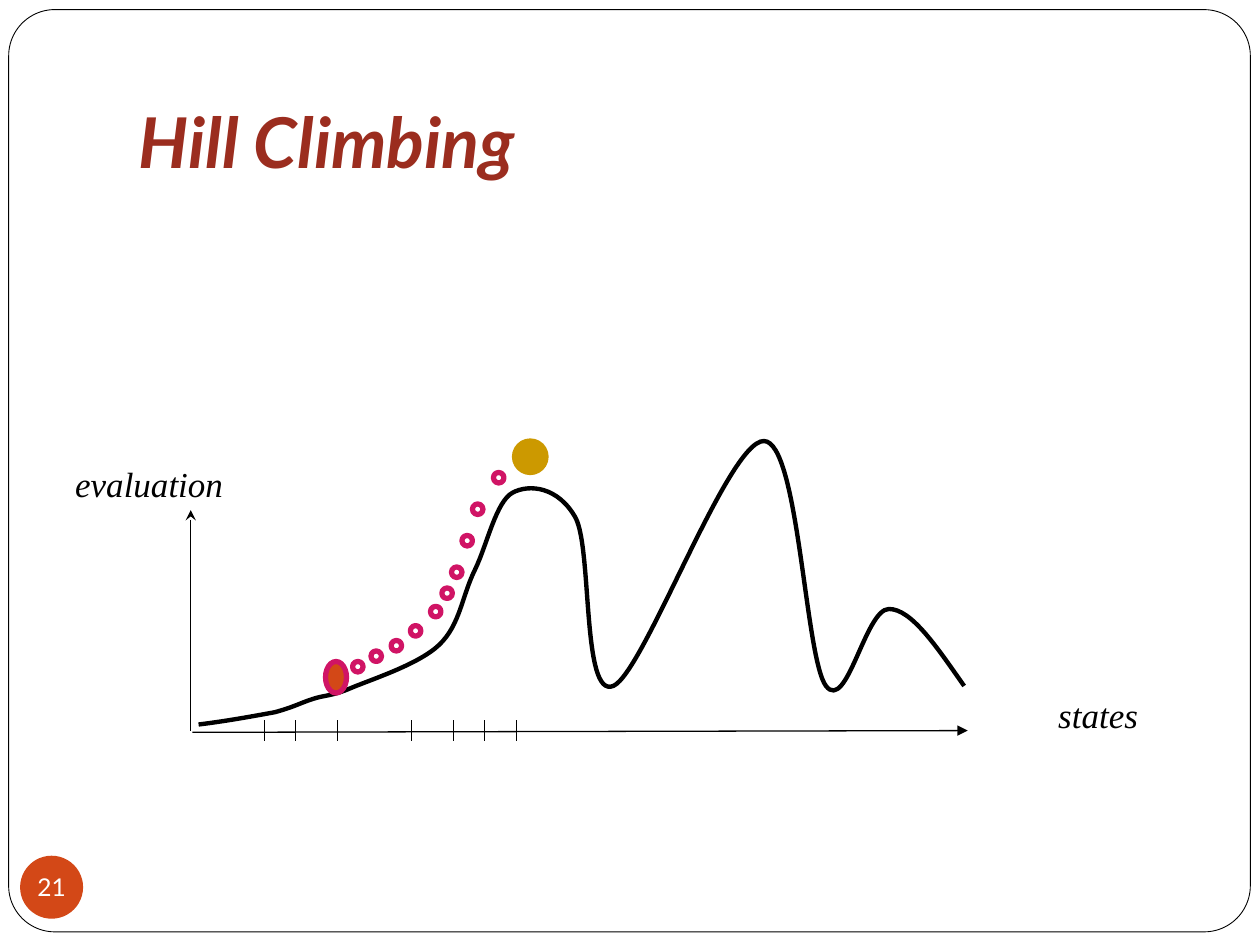
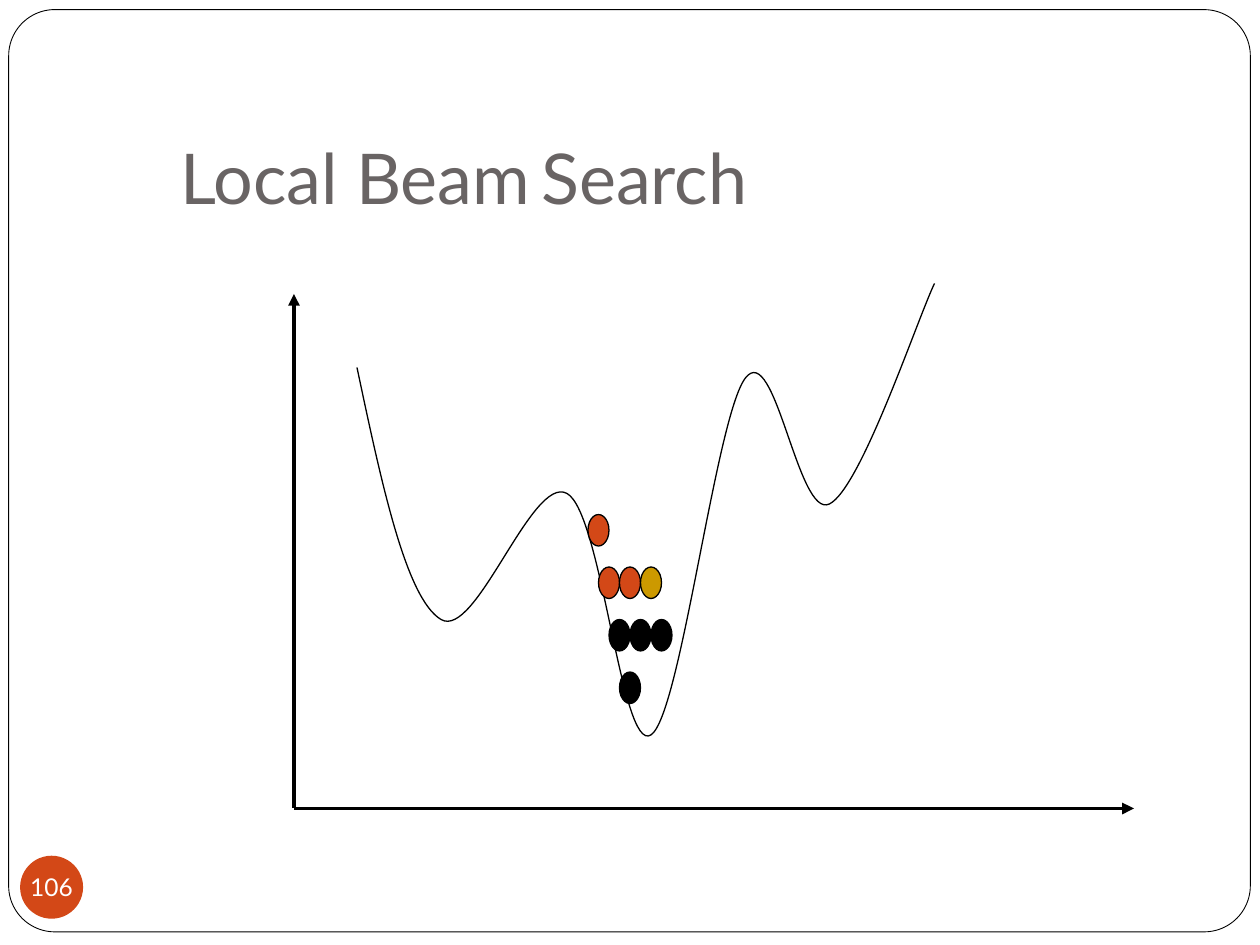
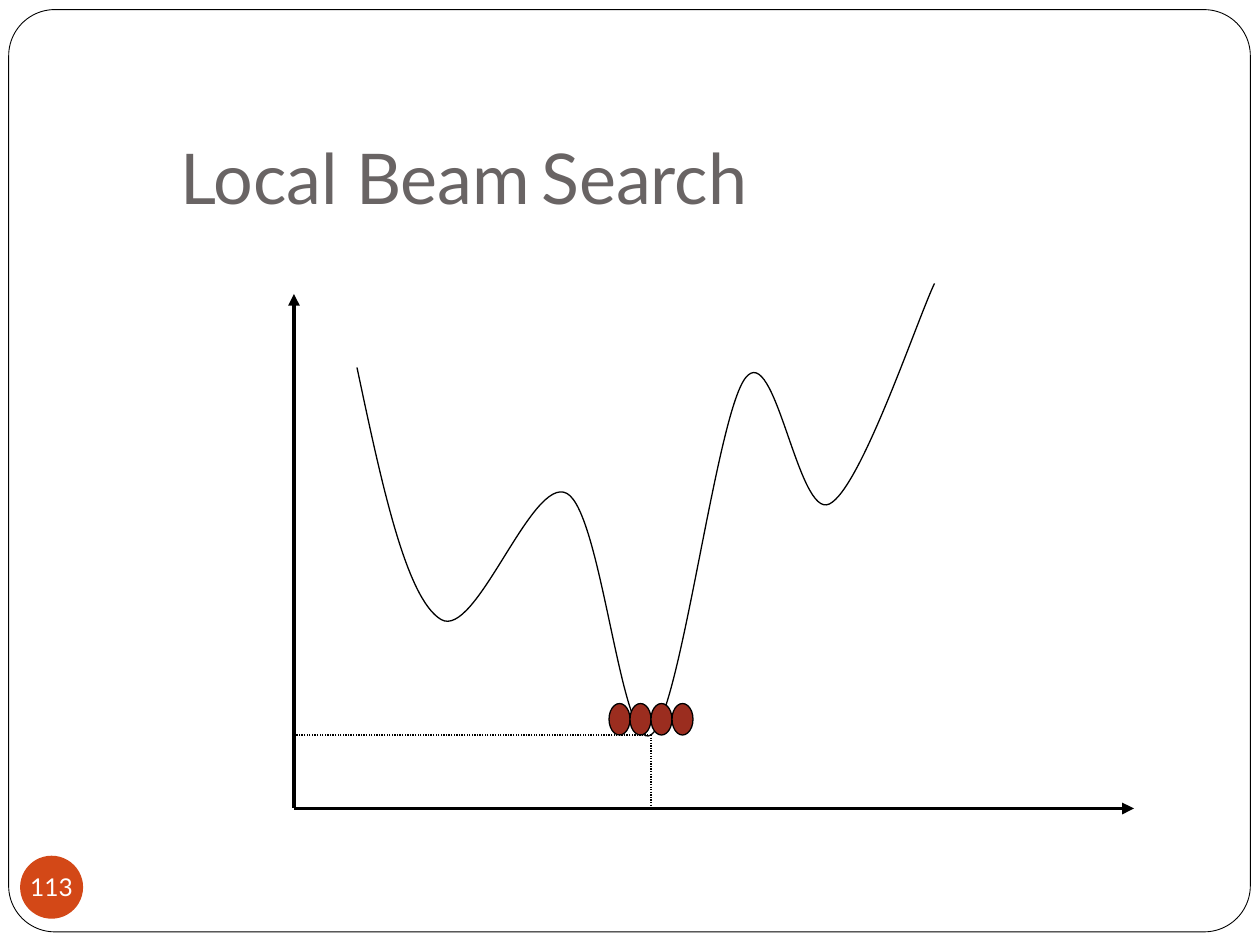
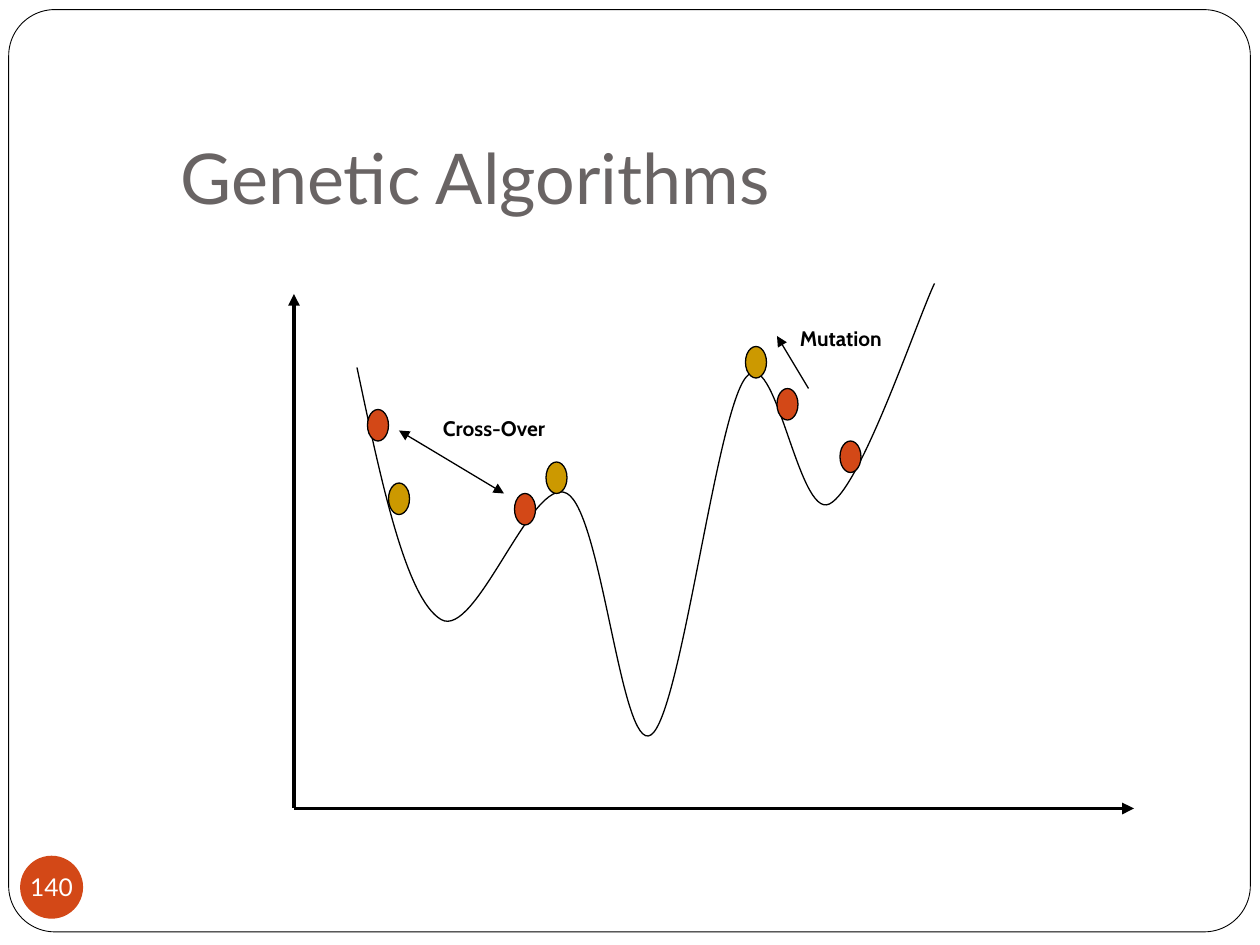
"""Build four slides on local search: hill climbing, beam search and genetic algorithms."""
import dataclasses

import lxml.etree
import pptx
import pptx.dml.color
import pptx.enum.dml
import pptx.enum.shapes
import pptx.enum.text
import pptx.oxml.ns
import pptx.util

Pt = pptx.util.Pt
Colour = pptx.dml.color.RGBColor
Preset = pptx.enum.shapes.MSO_SHAPE
Align = pptx.enum.text.PP_ALIGN
Anchor = pptx.enum.text.MSO_ANCHOR
qn = pptx.oxml.ns.qn


@dataclasses.dataclass(frozen=True)
class Theme:
    """Colours, fonts and sizes shared by the slides."""

    black: Colour = Colour(0, 0, 0)
    white: Colour = Colour(255, 255, 255)
    grey: Colour = Colour(0x69, 0x64, 0x64)
    orange: Colour = Colour(0xD3, 0x48, 0x17)
    brick: Colour = Colour(0x9B, 0x2D, 0x1F)
    gold: Colour = Colour(0xCC, 0x99, 0x00)
    pink: Colour = Colour(0xD0, 0x14, 0x65)
    main_font: str = "Lato"
    axis_font: str = "Times New Roman"
    label_font: str = "Cabin"
    title_size: float = 40
    title_gap_size: float = 28
    axis_size: float = 20
    number_size: float = 14
    label_size: float = 12
    frame_line: float = 0.5
    thin_line: float = 0.75
    axis_line: float = 2.25
    hill_line: float = 2.5
    dot_line: float = 3


THEME = Theme()
PLAIN_TITLE = (96, 67.5, 613.5, 64.5)
BALL_WIDTH, BALL_HEIGHT = 12, 18

HILL = [
    (113.5, 414), (130, 412), (146, 409), (157, 407),
    (168, 404), (171, 402), (178.5, 399.5),
    (186, 397), (189.5, 398), (201, 393),
    (213, 388), (239.5, 379.5), (251, 368.5),
    (263, 357), (264, 340.5), (271.5, 325.5),
    (278.5, 311), (283.5, 286.5), (293, 281.5),
    (302.5, 276.5), (319, 278), (329, 296),
    (338.5, 314.5), (332.5, 399.5), (350.5, 392),
    (368, 384.5), (416, 252), (436.5, 252),
    (456.5, 252), (460, 376), (472, 392),
    (484, 407.5), (494.5, 348), (508, 348),
    (521, 348), (535.5, 370), (551, 392),
]
VALLEYS = [
    (204, 210), (218, 276), (232, 342), (252, 354),
    (272, 366), (304, 271), (324, 282),
    (344, 293), (355, 431), (372, 420),
    (389, 409), (409, 238), (426, 216),
    (443, 194), (456, 297), (474, 288),
    (492, 279), (524, 183), (534, 162),
]


def add_run(paragraph, text, font=THEME.main_font, size=THEME.title_size,
            colour=THEME.grey, bold=False, italic=False):
    """Append formatted text to a paragraph."""
    run = paragraph.add_run()
    run.text = text
    run.font.name = font
    run.font.size = Pt(size)
    run.font.color.rgb = colour
    run.font.bold = bold
    run.font.italic = italic


def prepare_frame(frame, margins, anchor, align, wrap=True):
    """Set the layout of a text frame and return its first paragraph."""
    frame.auto_size = pptx.enum.text.MSO_AUTO_SIZE.NONE
    frame.word_wrap = wrap
    frame.vertical_anchor = anchor
    (frame.margin_left, frame.margin_top,
     frame.margin_right, frame.margin_bottom) = map(Pt, margins)
    paragraph = frame.paragraphs[0]
    paragraph.alignment = align
    return paragraph


def style_outline(shape, fill, line, width):
    """Set fill and line, where None means neither is drawn."""
    shape.shadow.inherit = False
    if fill is None:
        shape.fill.background()
    else:
        shape.fill.solid()
        shape.fill.fore_color.rgb = fill
    if line is None:
        shape.line.fill.background()
    else:
        shape.line.color.rgb = line
        shape.line.width = Pt(width)


def add_preset(slide, preset, box, fill=None, line=None, width=THEME.thin_line):
    """Add a preset shape in a box of left, top, width and height."""
    shape = slide.shapes.add_shape(preset, *map(Pt, box))
    style_outline(shape, fill, line, width)
    return shape


def add_ball(slide, left, top, fill, line=THEME.black, width=THEME.thin_line):
    """Add an oval that marks a search state."""
    add_preset(slide, Preset.OVAL, (left, top, BALL_WIDTH, BALL_HEIGHT), fill, line, width)


def add_ball_row(slide, left, top, fills):
    """Add touching balls from left to right."""
    for index, fill in enumerate(fills):
        add_ball(slide, left + index * BALL_WIDTH, top, fill)


def add_line(slide, start, end, width=THEME.thin_line, head=None, tail=None, dash=None):
    """Add a black straight line with optional arrowheads and dashes."""
    connector = slide.shapes.add_connector(
        pptx.enum.shapes.MSO_CONNECTOR.STRAIGHT, *map(Pt, start + end))
    connector.line.color.rgb = THEME.black
    connector.line.width = Pt(width)
    if dash:
        connector.line.dash_style = dash
    properties = connector.element.spPr
    outline = properties.find(qn("a:ln"))
    for tag, arrow in (("a:headEnd", head), ("a:tailEnd", tail)):
        if arrow:
            lxml.etree.SubElement(outline, qn(tag), type=arrow)
    lxml.etree.SubElement(properties, qn("a:effectLst"))


def add_curve(slide, controls, width):
    """Draw chained cubic curves as one open outline."""
    builder = slide.shapes.build_freeform(*map(Pt, controls[0]))
    builder.add_line_segments([tuple(map(Pt, point)) for point in controls[1:]], close=False)
    shape = builder.convert_to_shape()
    segments = list(shape.element.iter(qn("a:lnTo")))
    outline = segments[0].getparent()
    for first in range(0, len(segments), 3):
        curve = lxml.etree.SubElement(outline, qn("a:cubicBezTo"))
        for segment in segments[first:first + 3]:
            curve.append(segment.find(qn("a:pt")))
            outline.remove(segment)
    style_outline(shape, None, THEME.black, width)


def add_label(slide, text, box, margins=(7.2, 3.6, 7.2, 3.6), anchor=Anchor.TOP,
              align=Align.LEFT, wrap=True, **text_format):
    """Add a text box with one formatted line."""
    text_box = slide.shapes.add_textbox(*map(Pt, box))
    paragraph = prepare_frame(text_box.text_frame, margins, anchor, align, wrap)
    add_run(paragraph, text, **text_format)


def add_axis_label(slide, text, box):
    """Add the italic name of an axis."""
    add_label(slide, text, box, margins=(7.2, 0, 7.2, 0), anchor=Anchor.MIDDLE,
              align=Align.CENTER, wrap=False, font=THEME.axis_font,
              size=THEME.axis_size, colour=THEME.black, italic=True)


def add_operator_label(slide, text, box):
    """Add the bold name of a genetic operator."""
    add_label(slide, text, box, font=THEME.label_font, size=THEME.label_size,
              colour=THEME.black, bold=True)


def add_slide(presentation, number, title_runs, title_box=PLAIN_TITLE):
    """Add a slide with its frame, title and number badge."""
    slide = presentation.slides.add_slide(presentation.slide_layouts.get_by_name("Title Only"))
    frame = add_preset(slide, Preset.ROUNDED_RECTANGLE, (5, 5.5, 709.5, 527),
                       THEME.white, THEME.black, THEME.frame_line)
    frame.adjustments[0] = 0.05
    slide.shapes.element.insert(2, frame.element)

    title = slide.shapes.title
    title.left, title.top, title.width, title.height = map(Pt, title_box)
    paragraph = prepare_frame(title.text_frame, (7.2, 3.6, 7.2, 7.2), Anchor.BOTTOM, Align.LEFT)
    for text, text_format in title_runs:
        add_run(paragraph, text, **text_format)

    badge = add_preset(slide, Preset.OVAL, (11.5, 489, 36, 36), THEME.orange)
    paragraph = prepare_frame(badge.text_frame, (0, 0, 0, 0), Anchor.MIDDLE, Align.CENTER, False)
    add_run(paragraph, str(number), size=THEME.number_size, colour=THEME.white)
    return slide


def add_landscape(slide):
    """Draw the axes and the curve with three valleys."""
    origin = (168, 462)
    add_line(slide, (168, 168), origin, THEME.axis_line, head="triangle")
    add_line(slide, origin, (648, 462), THEME.axis_line, tail="triangle")
    add_curve(slide, VALLEYS, THEME.thin_line)


def add_hill_climbing(presentation):
    """Show a climb that ends on a local peak."""
    title = [("Hill Climbing", {"colour": THEME.brick, "bold": True, "italic": True})]
    slide = add_slide(presentation, 21, title, (72, 21.5, 612, 90))
    add_curve(slide, HILL, THEME.hill_line)
    add_line(slide, (109, 291.5), (109, 417.5), head="stealth")
    add_line(slide, (110, 418.5), (553, 417.5), tail="triangle")
    add_axis_label(slide, "states", (597.5, 396, 60, 24))
    add_axis_label(slide, "evaluation", (36, 264, 98.5, 24))
    for tick in (151, 169, 193, 235, 259, 277, 295):
        add_line(slide, (tick, 411.5), (tick, 423.5))
    add_ball(slide, 186, 378, THEME.orange, THEME.pink, THEME.dot_line)
    climb = [(201.5, 378), (212, 372), (223.5, 366), (234.5, 357.5), (246, 346.5),
             (252.5, 336), (258, 324), (264, 306), (270, 288), (282, 270)]
    for left, top in climb:
        add_preset(slide, Preset.OVAL, (left, top, 6, 6), None, THEME.pink, THEME.dot_line)
    add_preset(slide, Preset.OVAL, (294, 252, 18, 18), THEME.gold, THEME.gold, THEME.dot_line)


def add_beam_slide(presentation, number):
    """Add a beam search slide with its landscape."""
    title = [("Local Beam", {}),
             (" ", {"size": THEME.title_gap_size, "colour": THEME.brick, "italic": True}),
             ("Search", {})]
    slide = add_slide(presentation, number, title)
    add_landscape(slide)
    return slide


def add_beam_descent(presentation):
    """Show successive beams moving down the valley."""
    slide = add_beam_slide(presentation, 106)
    add_ball_row(slide, 336, 294, [THEME.orange])
    add_ball_row(slide, 342, 324, [THEME.orange, THEME.orange, THEME.gold])
    add_ball_row(slide, 348, 354, [THEME.black] * 3)
    add_ball_row(slide, 354, 384, [THEME.black])


def add_beam_result(presentation):
    """Show the beam at the lowest point."""
    slide = add_beam_slide(presentation, 113)
    add_ball_row(slide, 348, 402, [THEME.brick] * 4)
    for foot in ((372, 462), (168, 420)):
        add_line(slide, (372, 420), foot, dash=pptx.enum.dml.MSO_LINE.ROUND_DOT)


def add_genetic_algorithms(presentation):
    """Show cross-over and mutation on the landscape."""
    slide = add_slide(presentation, 140, [("Genetic Algorithms", {})])
    add_landscape(slide)
    parents = [(210, 234), (294, 282), (444, 222), (480, 252)]
    children = [(222, 276), (312, 264), (426, 198)]
    for states, fill in ((parents, THEME.orange), (children, THEME.gold)):
        for left, top in states:
            add_ball(slide, left, top, fill)
    add_line(slide, (228, 246), (288, 282), head="triangle", tail="triangle")
    add_line(slide, (462, 222), (444, 192), tail="triangle")
    add_operator_label(slide, "Mutation", (450, 182.5, 78, 21.5))
    add_operator_label(slide, "Cross-Over", (246, 234, 90, 21.5))


def main():
    """Build and save the presentation."""
    presentation = pptx.Presentation()
    presentation.slide_width, presentation.slide_height = Pt(720), Pt(540)
    add_hill_climbing(presentation)
    add_beam_descent(presentation)
    add_beam_result(presentation)
    add_genetic_algorithms(presentation)
    presentation.save("out.pptx")


if __name__ == "__main__":
    main()
